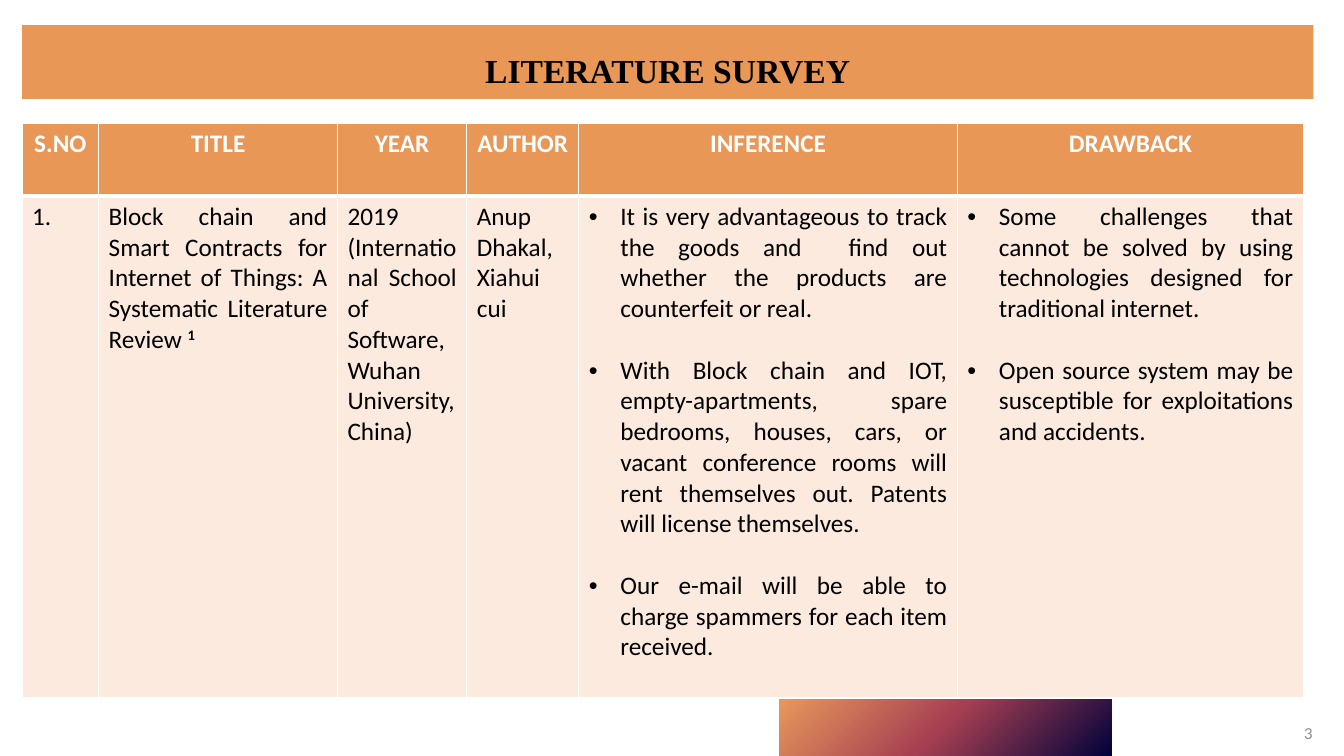
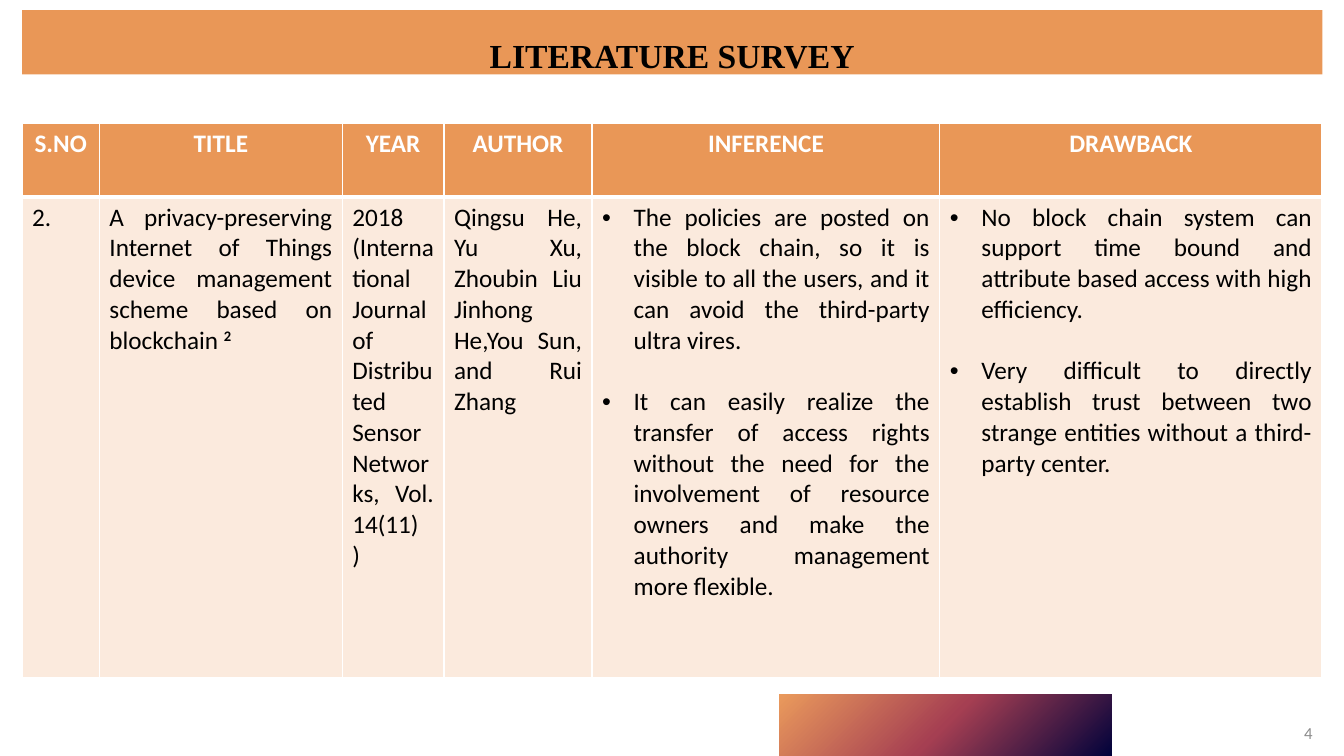
import pptx
import pptx.util
import pptx.dml.color
import pptx.enum.shapes
import pptx.enum.text
import pptx.oxml

Pt = pptx.util.Pt
ALIGN = pptx.enum.text.PP_ALIGN
ANCHOR = pptx.enum.text.MSO_ANCHOR
RECT = pptx.enum.shapes.MSO_SHAPE.RECTANGLE
NS = 'xmlns:a="http://schemas.openxmlformats.org/drawingml/2006/main"'

COLORS = {
    "band": "E99757", "body": "FBEADD", "white": "FFFFFF", "black": "000000",
    "gray": "8C8C8C", "navy": "01023B", "rose": "A53F52", "peach": "EA9A5C",
}
TITLE = "LITERATURE SURVEY"
HEADS = ["S.NO", "TITLE", "YEAR", "AUTHOR", "INFERENCE", "DRAWBACK"]
LISTS = {"INFERENCE", "DRAWBACK"}
LEFT, TOP = 15.8, 88.2

# A caret marks the start of a superscript.
SLIDES = [
    {
        "page": "3",
        "band": (18, 922.3, 52.6),
        "cols": [54.7, 170.6, 92.4, 80, 270.4, 247.2],
        "rows": [52, 358.4],
        "cells": [
            ["1."],
            ["Block chain and Smart Contracts for Internet of Things: "
             "A Systematic Literature Review ^1"],
            ["2019", "(International School of Software,Wuhan University, China)"],
            ["Anup Dhakal, Xiahui cui"],
            ["It is very advantageous to track the goods and  find out whether "
             "the products are counterfeit or real.",
             "With Block chain and IOT, empty-apartments, spare bedrooms, houses, "
             "cars, or vacant conference rooms will rent themselves out. "
             "Patents will license themselves.",
             "Our e-mail will be able to charge spammers for each item received."],
            ["Some challenges that cannot be solved by using technologies "
             "designed for traditional internet.",
             "Open source system may be susceptible for exploitations and accidents."],
        ],
    },
    {
        "page": "4",
        "band": (7.2, 928.8, 46),
        "cols": [55.2, 173.5, 72.7, 105.8, 248.4, 272.9],
        "rows": [52.5, 343.6],
        "cells": [
            ["2."],
            ["A privacy-preserving Internet of Things device management scheme "
             "based on blockchain ^2"],
            ["2018 (International Journal of Distributed Sensor Networks, "
             "Vol. 14(11)", ")"],
            ["Qingsu He, Yu Xu, Zhoubin Liu Jinhong He,You Sun, and Rui Zhang"],
            ["The policies are posted on the block chain, so it is visible to all "
             "the users, and it can avoid the third-party ultra vires.",
             "It can easily realize the transfer of access rights without the need "
             "for the involvement of resource owners and make the authority "
             "management more flexible."],
            ["No block chain system can support time bound and attribute based "
             "access with high efficiency.",
             "Very difficult to directly establish trust between two strange "
             "entities without a third-party center."],
        ],
    },
]


def rgb(name):
    return pptx.dml.color.RGBColor.from_string(COLORS[name])


def paint(fill, name):
    fill.solid()
    fill.fore_color.rgb = rgb(name)


def write(frame, lines, size=18, color="black", face="Calibri", bold=False,
          align=ALIGN.JUSTIFY, space=None, bullet=False, gap=0):
    frame.word_wrap = True
    for i, line in enumerate(lines):
        para = frame.paragraphs[0] if i == 0 else frame.add_paragraph()
        para.alignment = align
        if space:
            para.line_spacing = space
        if i and gap:
            para.space_before = Pt(gap)
        if bullet:
            props = para._p.get_or_add_pPr()
            props.set("marL", str(Pt(22.5)))
            props.set("indent", str(-Pt(22.5)))
            for mark in ('<a:buFont %s typeface="Arial"/>', '<a:buChar %s char="•"/>'):
                props.append(pptx.oxml.parse_xml(mark % NS))
        for j, part in enumerate(line.split("^")):
            run = para.add_run()
            run.text = part
            font = run.font
            font.size, font.name = Pt(size), face
            font.bold = bold or j > 0
            font.color.rgb = rgb(color)
            if j:
                run._r.get_or_add_rPr().set("baseline", "30000")


def block(slide, x, y, w, h):
    shape = slide.shapes.add_shape(RECT, Pt(x), Pt(y), Pt(w), Pt(h))
    shape.shadow.inherit = False
    shape.line.fill.background()
    return shape


def accent(slide):
    """Add the radial gradient strip at the foot."""
    shape = block(slide, 556.6, 496, 237.6, 44)
    shape.fill.gradient()
    grad = shape._element.spPr.find(pptx.oxml.ns.qn("a:gradFill"))
    stops = "".join(
        f'<a:gs pos="{pos}"><a:srgbClr val="{COLORS[name]}"/></a:gs>'
        for pos, name in ((0, "navy"), (50000, "rose"), (100000, "peach")))
    grad.getparent().replace(grad, pptx.oxml.parse_xml(
        f'<a:gradFill {NS} rotWithShape="1"><a:gsLst>{stops}</a:gsLst>'
        '<a:path path="circle"><a:fillToRect l="100000" t="100000"/></a:path>'
        '</a:gradFill>'))


def header(slide, y, w, h):
    shape = block(slide, LEFT, y, w, h)
    paint(shape.fill, "band")
    frame = shape.text_frame
    frame.vertical_anchor = ANCHOR.TOP
    frame.margin_top, frame.margin_bottom = Pt(3.6), 0
    write(frame, [TITLE], size=24, face="Times New Roman", bold=True,
          align=ALIGN.CENTER, space=1.5)


def number(slide, page):
    box = slide.shapes.add_textbox(Pt(909.4), Pt(509), Pt(35.3), Pt(28.8))
    box.text_frame.vertical_anchor = ANCHOR.MIDDLE
    write(box.text_frame, [page], size=12, color="gray", align=ALIGN.RIGHT)


def border(cell, base):
    """Edge a cell in white, with its own width for the base."""
    props = cell._tc.get_or_add_tcPr()
    for i, (side, width) in enumerate((("L", 1), ("R", 1), ("T", 1), ("B", base))):
        props.insert(i, pptx.oxml.parse_xml(
            f'<a:ln{side} {NS} w="{Pt(width)}"><a:solidFill>'
            f'<a:srgbClr val="{COLORS["white"]}"/></a:solidFill></a:ln{side}>'))


def survey(slide, cols, rows, cells):
    table = slide.shapes.add_table(
        2, len(cols), Pt(LEFT), Pt(TOP), Pt(sum(cols)), Pt(sum(rows))).table
    table.horz_banding = False
    for row, height in zip(table.rows, rows):
        row.height = Pt(height)
    for i, (head, lines, width) in enumerate(zip(HEADS, cells, cols)):
        table.columns[i].width = Pt(width)
        top, low = table.cell(0, i), table.cell(1, i)
        paint(top.fill, "band")
        paint(low.fill, "body")
        border(top, 3)
        border(low, 1)
        write(top.text_frame, [head], color="white", bold=True, align=ALIGN.CENTER)
        listed = head in LISTS
        write(low.text_frame, lines, bullet=listed, gap=22 if listed else 0)


def main():
    deck = pptx.Presentation()
    deck.slide_width, deck.slide_height = Pt(960), Pt(540)
    for item in SLIDES:
        slide = deck.slides.add_slide(deck.slide_layouts[6])
        accent(slide)
        header(slide, *item["band"])
        number(slide, item["page"])
        survey(slide, item["cols"], item["rows"], item["cells"])
    deck.save("out.pptx")


if __name__ == "__main__":
    main()
